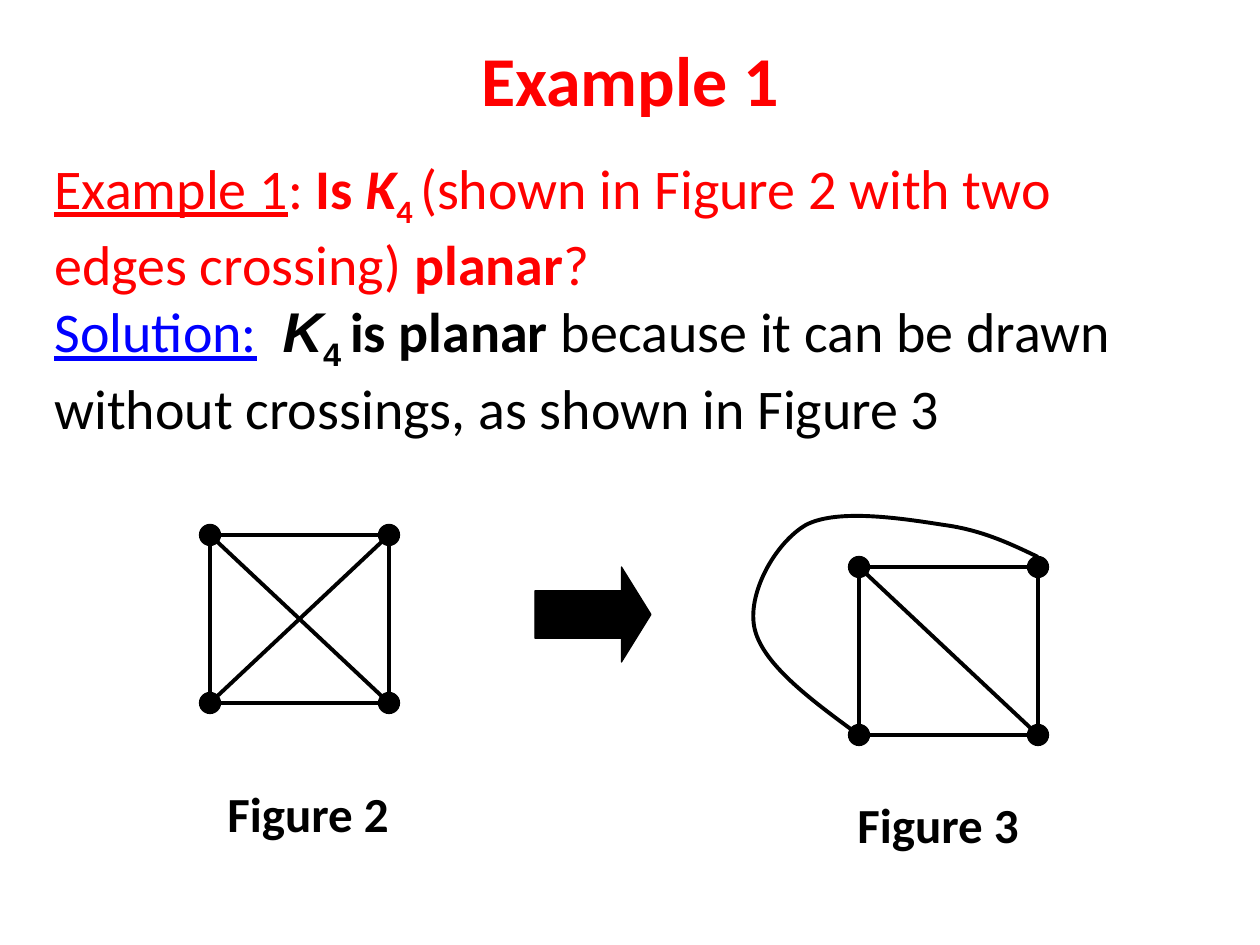
"""Build the slide showing that K4 is a planar graph."""
import lxml.etree
import pptx
import pptx.dml.color
import pptx.enum.shapes
import pptx.enum.text
import pptx.oxml.ns
import pptx.util

SCALE = 914400 / 126
RED, BLUE, BLACK = "FF0000", "0000FF", "000000"
DOT = 21
SQUARE = (179, 168)
SHAPES = pptx.enum.shapes.MSO_SHAPE

TITLE = [[("Example 1", RED, "b")]]
BODY = [
    [
        ("Example 1", RED, "u"),
        (": ", RED, ""),
        ("Is ", RED, "b"),
        ("K", RED, "bi"),
        ("4 ", RED, "bs"),
        ("(shown in Figure 2 with two edges crossing) ", RED, ""),
        ("planar", RED, "b"),
        ("?", RED, ""),
    ],
    [
        ("Solution:", BLUE, "u"),
        ("  ", RED, ""),
        ("K", BLACK, "bia"),
        ("4 ", BLACK, "bsa"),
        ("is planar ", BLACK, "b"),
        ("because it can be drawn without crossings, as shown in Figure 3", BLACK, ""),
    ],
]
CAPTIONS = [("Figure 2", (215, 777, 189, 72)), ("Figure 3", (845, 788, 189, 72))]
CROSSED_CORNER = (210, 535)
PLANAR_CORNER = (859, 567)
ARROW = (535, 567, 116, 95)
OUTER_EDGE = [
    (1038, 557),
    (1009, 543), (981, 530), (944, 525),
    (905, 519), (838, 508), (806, 525),
    (775, 543), (746, 595), (755, 630),
    (764, 665), (811, 700), (859, 735),
]


def emu(*lengths):
    return [pptx.util.Emu(round(length * SCALE)) for length in lengths]


def rgb(value):
    return pptx.dml.color.RGBColor.from_string(value)


def add_text(slide, box, paragraphs, size, align="LEFT", anchor="TOP", wrap=True):
    frame = slide.shapes.add_textbox(*emu(*box)).text_frame
    frame.word_wrap = wrap
    frame.vertical_anchor = pptx.enum.text.MSO_ANCHOR[anchor]
    for index, pieces in enumerate(paragraphs):
        paragraph = frame.add_paragraph() if index else frame.paragraphs[0]
        paragraph.alignment = pptx.enum.text.PP_ALIGN[align]
        for words, color, style in pieces:
            run = paragraph.add_run()
            run.text = words
            font = run.font
            font.name = "Arial" if "a" in style else "Calibri"
            font.size = pptx.util.Pt(size)
            font.color.rgb = rgb(color)
            font.bold = "b" in style
            font.italic = "i" in style
            font.underline = "u" in style
            if "s" in style:
                font._element.set("baseline", "-25000")


def paint(shape, width, filled):
    shape.shadow.inherit = False
    if filled:
        shape.fill.solid()
        shape.fill.fore_color.rgb = rgb(BLACK)
    else:
        shape.fill.background()
    shape.line.color.rgb = rgb(BLACK)
    shape.line.width = pptx.util.Pt(width)


def add_edge(shapes, start, end):
    edge = shapes.add_connector(
        pptx.enum.shapes.MSO_CONNECTOR.STRAIGHT, *emu(*start, *end))
    edge.line.color.rgb = rgb(BLACK)
    edge.line.width = pptx.util.Pt(2.25)
    lxml.etree.SubElement(edge._element.spPr, pptx.oxml.ns.qn("a:effectLst"))


def add_graph(slide, corner, crossed):
    shapes = slide.shapes.add_group_shape().shapes
    (left, top), (width, height) = corner, SQUARE
    right, bottom = left + width, top + height
    paint(shapes.add_shape(SHAPES.RECTANGLE, *emu(*corner, *SQUARE)), 2.25, False)
    add_edge(shapes, (left, top), (right, bottom))
    if crossed:
        add_edge(shapes, (left, bottom), (right, top))
    for x, y in ((left, top), (left, bottom), (right, bottom), (right, top)):
        vertex = shapes.add_shape(
            SHAPES.OVAL, *emu(x - DOT / 2, y - DOT / 2, DOT, DOT))
        paint(vertex, 0.75, True)
    return shapes


def add_curve(shapes, points):
    builder = shapes.build_freeform(*points[0], scale=SCALE)
    builder.add_line_segments(points[1:], close=False)
    curve = builder.convert_to_shape()
    qn = pptx.oxml.ns.qn
    segments = list(curve._element.iter(qn("a:lnTo")))
    for first in range(0, len(segments), 3):
        bezier = lxml.etree.SubElement(segments[first].getparent(), qn("a:cubicBezTo"))
        for segment in segments[first:first + 3]:
            bezier.append(segment[0])
            segment.getparent().remove(segment)
    paint(curve, 2.25, False)


def main():
    deck = pptx.Presentation()
    deck.slide_width, deck.slide_height = emu(1260, 945)
    slide = deck.slides.add_slide(deck.slide_layouts[6])
    add_text(slide, (63, 21, 1134, 116), TITLE, 40, "CENTER", "MIDDLE")
    add_graph(slide, CROSSED_CORNER, True)
    add_curve(add_graph(slide, PLANAR_CORNER, False), OUTER_EDGE)
    arrow = slide.shapes.add_shape(SHAPES.RIGHT_ARROW, *emu(*ARROW))
    arrow.adjustments[0], arrow.adjustments[1] = 0.5, 0.31
    paint(arrow, 0.75, True)
    add_text(slide, (42, 147, 1166, 285), BODY, 32)
    for caption, box in CAPTIONS:
        add_text(slide, box, [[(caption, BLACK, "b")]], 28, wrap=False)
    deck.save("out.pptx")


if __name__ == "__main__":
    main()
